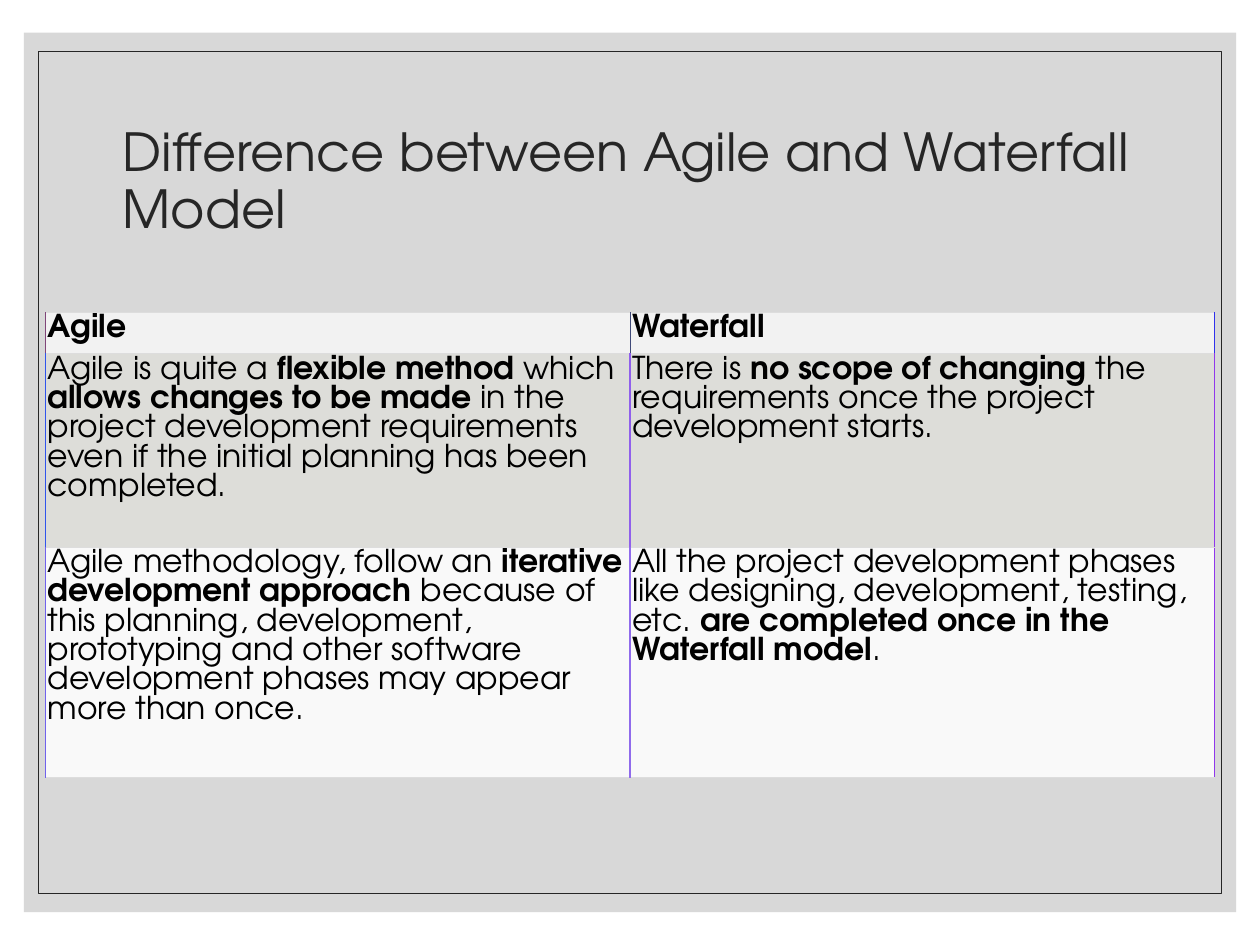
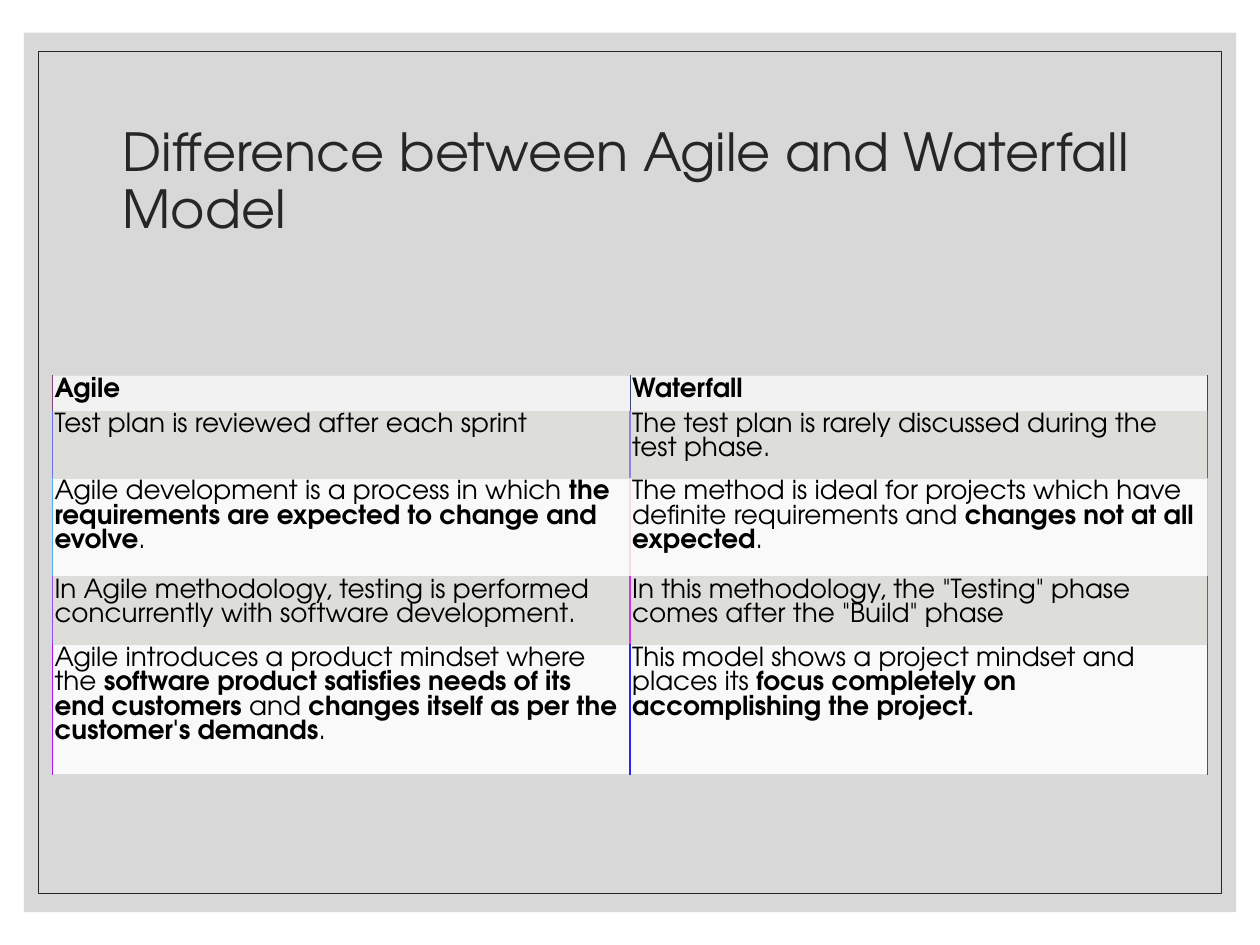
import pptx
import pptx.util
import pptx.dml.color
import pptx.enum.shapes
import pptx.enum.text
import pptx.oxml.ns
from lxml import etree

TITLE = "Difference between Agile and Waterfall Model"
HEAD = ("**Agile**", "**Waterfall**")


def hue(code):
    return pptx.dml.color.RGBColor.from_string(code)


def sub(node, tag, **attrs):
    return etree.SubElement(node, pptx.oxml.ns.qn(tag), attrs)


class Deck:
    """Shared style on a grid of 100 columns by 75 rows."""
    face = "TeX Gyre Adventor"
    ink, black, panel = "262626", "000000", "BFBFBF"
    rule, top, bands = "DDDDDD", "F2F2F2", ("DDDDD9", "F9F9F9")
    pad = 0.18
    tight = 0.93  # line pitch of table text, as a share of its size

    def __init__(self):
        self.prs = pptx.Presentation()
        self.prs.slide_width = pptx.util.Inches(10)
        self.prs.slide_height = pptx.util.Inches(7.5)
        self.slide = None

    def unit(self, n):
        return round(self.prs.slide_width * n / 100)

    def box(self, *area):
        return [self.unit(n) for n in area]

    def font(self, par, size, color):
        par.font.name = self.face
        par.font.size = pptx.util.Pt(size)
        par.font.color.rgb = hue(color)

    def rect(self, area, fill=None, alpha=100, line=None):
        shape = self.slide.shapes.add_shape(
            pptx.enum.shapes.MSO_SHAPE.RECTANGLE, *self.box(*area))
        shape.shadow.inherit = False
        if fill:
            shape.fill.solid()
            shape.fill.fore_color.rgb = hue(fill)
            tint = shape.fill._xPr.find(".//" + pptx.oxml.ns.qn("a:srgbClr"))
            sub(tint, "a:alpha", val=str(alpha * 1000))
        else:
            shape.fill.background()
        if line:
            shape.line.color.rgb = hue(line)
            shape.line.width = pptx.util.Pt(0.5)
        else:
            shape.line.fill.background()

    def title(self, text):
        frame = self.slide.shapes.add_textbox(
            *self.box(8.75, 7.05, 82.5, 15)).text_frame
        frame.word_wrap = True
        frame.vertical_anchor = pptx.enum.text.MSO_ANCHOR.MIDDLE
        par = frame.paragraphs[0]
        par.text = text
        par.line_spacing = 0.9
        self.font(par, 30, self.ink)

    def page(self, text):
        self.slide = self.prs.slides.add_slide(self.prs.slide_layouts[6])
        self.rect((1.9, 2.6, 96.2, 69.8), fill=self.panel, alpha=60)
        self.rect((3.05, 4.1, 93.9, 66.8), line=self.ink)
        self.title(text)

    def edge(self, cell, side, color, width):
        line = sub(cell._tc.get_or_add_tcPr(), "a:ln" + side,
                   w=str(pptx.util.Pt(width)))
        sub(sub(line, "a:solidFill"), "a:srgbClr", val=color)

    def cell(self, cell, text, size, fill, sides, width):
        # Borders come before the fill in the cell's properties
        for side, color in zip("LR", sides):
            self.edge(cell, side, color, width[side])
        for side in "TB":
            self.edge(cell, side, self.rule, 0.6)
        cell.fill.solid()
        cell.fill.fore_color.rgb = hue(fill)
        cell.margin_left = cell.margin_right = self.unit(self.pad)
        cell.margin_top = cell.margin_bottom = self.unit(self.pad)
        # Text between double stars is bold
        par = cell.text_frame.paragraphs[0]
        par.line_spacing = pptx.util.Pt(size * self.tight)
        self.font(par, size, self.black)
        for i, part in enumerate(text.split("**")):
            if part:
                run = par.add_run()
                run.text = part
                run.font.bold = i % 2 == 1

    def table(self, left, top, size, rows):
        """Each row holds its height, its three upright rules and its texts."""
        wide = 100 - 2 * left
        high = sum(row[0] for row in rows)
        grid = self.slide.shapes.add_table(
            len(rows), 2, *self.box(left, top, wide, high)).table
        grid.first_row = grid.horz_banding = False
        for r, (tall, rules, texts) in enumerate(rows):
            grid.rows[r].height = self.unit(tall)
            fill = self.bands[(r - 1) % 2] if r else self.top
            for c, text in enumerate(texts):
                width = {"L": 1 if r else 0.6, "R": 1 if r or c else 0.6}
                self.cell(grid.cell(r, c), text, size, fill,
                          rules[c:c + 2], width)


def main():
    deck = Deck()
    rules = ("804579", "404A79", "3030EC")

    # Flexibility and phases
    deck.page(TITLE)
    deck.table(3.6, 24.78, 18, [
        (3.3, rules, HEAD),
        (15.35, ("3054EC", "905FEC", "9037EC"), (
            "Agile is quite a **flexible method **which **allows changes to "
            "be made **in the project development requirements even if the "
            "initial planning has been completed.",
            "There is **no scope of changing **the requirements once the "
            "project development starts.")),
        (18.3, ("7062EC", "906BEC", "9037EC"), (
            "Agile methodology, follow an **iterative development approach "
            "**because of this planning, development, prototyping and other "
            "software development phases may appear more than once.",
            "All the project development phases like designing, development, "
            "testing, etc. **are completed once in the Waterfall model**.")),
    ])

    # Testing and mindset
    deck.page(TITLE)
    deck.table(4.15, 29.8, 15, [
        (2.82, rules, HEAD),
        (5.35, ("706FEC", "907EEC", "9037EC"), (
            "Test plan is reviewed after each sprint",
            "The test plan is rarely discussed during the test phase.")),
        (7.8, ("50B0EC", "F0DFEC", "90DFEC"), (
            "Agile development is a process in which **the requirements are "
            "expected to change and evolve**.",
            "The method is ideal for projects which have definite "
            "requirements and **changes not at all expected**.")),
        (5.4, ("9050EC", "D035EC", "9037EC"), (
            "In Agile methodology, testing is performed concurrently with "
            "software development.",
            "In this methodology, the \"Testing\" phase comes after the "
            "\"Build\" phase")),
        (10.3, ("B013ED", "3023EC", "7023EC"), (
            "Agile introduces a product mindset where the **software product "
            "satisfies needs of its end customers** and **changes itself as "
            "per the customer's demands**.",
            "This model shows a project mindset and places its **focus "
            "completely on accomplishing the project.**")),
    ])
    deck.prs.save("out.pptx")


if __name__ == "__main__":
    main()
